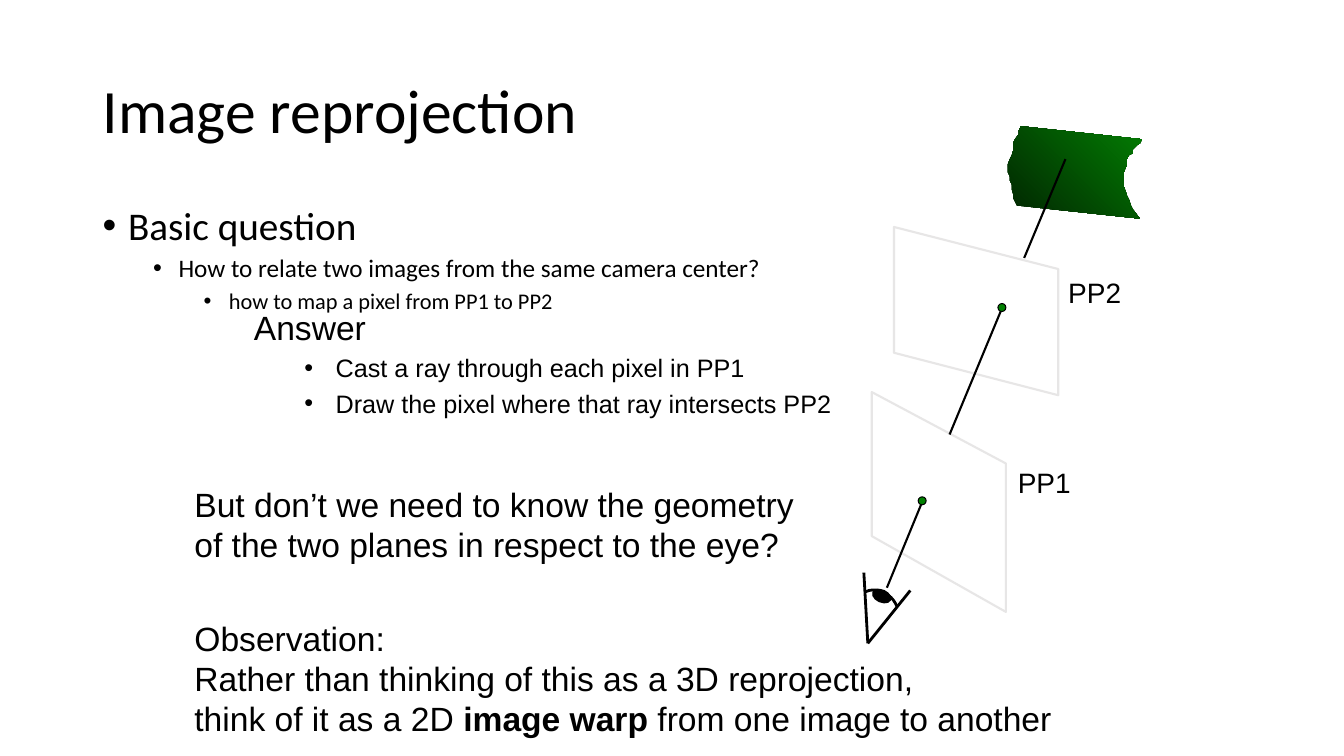
from lxml.etree import SubElement
from pptx import Presentation
from pptx.dml.color import RGBColor
from pptx.enum.shapes import MSO_CONNECTOR, MSO_SHAPE
from pptx.enum.text import MSO_ANCHOR
from pptx.oxml.ns import qn
from pptx.util import Cm, Pt

BLACK = RGBColor(0, 0, 0)
WHITE = RGBColor(0xFF, 0xFF, 0xFF)
PLANE_EDGE = RGBColor(0xE7, 0xE6, 0xE6)
PIXEL_GREEN = RGBColor(0, 0x80, 0)
SURFACE_DARK = RGBColor(0x01, 0x25, 0x01)
SURFACE_LIGHT = RGBColor(0x03, 0x7C, 0x03)

OUTLINE_UNIT = Cm(0.01)
SURFACE = [
    (2573, 318), (2568, 328), (2568, 338), (2558, 351), (2553, 361), (2553, 381),
    (2550, 391), (2545, 401), (2540, 414), (2540, 434), (2545, 445), (2545, 455),
    (2550, 465), (2550, 478), (2553, 488), (2553, 498), (2558, 508), (2563, 518),
    (2873, 551), (2855, 528), (2850, 518), (2845, 503), (2840, 493), (2837, 483),
    (2832, 470), (2832, 434), (2840, 414), (2840, 401), (2845, 391), (2855, 386),
    (2855, 376), (2865, 366), (2873, 361), (2878, 351),
]
PLANE_2 = [(2667, 678), (2253, 572), (2253, 889), (2667, 996)]
PLANE_1 = [(2197, 1351), (2535, 1542), (2535, 1168), (2197, 988)]
EYE_WEDGE = [(2187, 1621), (2179, 1496), (2192, 1488), (2212, 1486),
             (2233, 1494), (2248, 1508), (2258, 1529)]
CORNEA_CONTROLS = [(2182, 1491), (2212, 1478), (2245, 1494), (2261, 1529)]


def cubic_curve(controls, steps=12):
    points = []
    for step in range(steps + 1):
        t = step / steps
        weights = ((1 - t) ** 3, 3 * t * (1 - t) ** 2, 3 * t * t * (1 - t), t ** 3)
        points.append(tuple(sum(w * c[axis] for w, c in zip(weights, controls))
                            for axis in (0, 1)))
    return points


def style_shape(shape, fill=None, edge=None, edge_width=1.0):
    shape.shadow.inherit = False
    if fill is None:
        shape.fill.background()
    else:
        shape.fill.solid()
        shape.fill.fore_color.rgb = fill
    if edge is None:
        shape.line.fill.background()
    else:
        shape.line.color.rgb = edge
        shape.line.width = Pt(edge_width)


def add_outline(slide, points, close=True, **style):
    builder = slide.shapes.build_freeform(*points[0], scale=OUTLINE_UNIT)
    builder.add_line_segments(points[1:], close=close)
    outline = builder.convert_to_shape()
    style_shape(outline, **style)
    return outline


def add_oval(slide, left, top, width, height, rotation=0, **style):
    oval = slide.shapes.add_shape(
        MSO_SHAPE.OVAL, Cm(left), Cm(top), Cm(width), Cm(height))
    oval.rotation = rotation
    style_shape(oval, **style)


def add_line(slide, start, end, width):
    line = slide.shapes.add_connector(
        MSO_CONNECTOR.STRAIGHT, *(Cm(value) for value in (*start, *end)))
    line.line.color.rgb = BLACK
    line.line.width = Pt(width)
    SubElement(line._element.spPr, qn("a:effectLst"))


def add_bullet(paragraph, margin, hanging):
    properties = paragraph._p.get_or_add_pPr()
    properties.set("marL", str(Cm(margin)))
    properties.set("indent", str(-Cm(hanging)))
    SubElement(properties, qn("a:buFont")).set("typeface", "Arial")
    SubElement(properties, qn("a:buChar")).set("char", "•")


def add_run(paragraph, text, formats):
    run = paragraph.add_run()
    run.text = text
    run.font.color.rgb = BLACK
    for name, value in formats.items():
        setattr(run.font, name, value)


def add_text(slide, box, items, font, size, wrap=True, anchor=MSO_ANCHOR.TOP):
    frame = slide.shapes.add_textbox(*(Cm(value) for value in box)).text_frame
    frame.word_wrap = wrap
    frame.vertical_anchor = anchor
    for index, item in enumerate(items):
        paragraph = frame.paragraphs[0] if index == 0 else frame.add_paragraph()
        if "bullet" in item:
            add_bullet(paragraph, *item["bullet"])
        for name, value in item.get("layout", {}).items():
            setattr(paragraph, name, value)
        for text, bold in item["runs"]:
            add_run(paragraph, text,
                    {"name": font, "size": Pt(item.get("size", size)), "bold": bold})


def plain(*lines):
    return [{"runs": [(line, False)]} for line in lines]


def add_question(slide):
    add_text(slide, (2.34, 1.02, 29.21, 3.68),
             [{"runs": [("Image reprojection", False)], "layout": {"line_spacing": 0.9}}],
             "Calibri", 44, anchor=MSO_ANCHOR.MIDDLE)
    levels = [("Basic question", 28),
              ("How to relate two images from the same camera center?", 18),
              ("how to map a pixel from PP1 to PP2", 16)]
    items = [{"runs": [(text, False)], "size": size,
              "bullet": (0.64 + 1.27 * level, 0.64),
              "layout": {"level": level, "line_spacing": 0.9,
                         "space_before": Pt(5 if level else 0)}}
             for level, (text, size) in enumerate(levels)]
    add_text(slide, (2.34, 5.08, 29.21, 12.09), items, "Calibri", 18)


def add_scene(slide):
    surface = add_outline(slide, SURFACE)
    surface.fill.gradient()
    surface.fill.gradient_angle = 45
    for stop, color in zip(surface.fill.gradient_stops, (SURFACE_DARK, SURFACE_LIGHT)):
        stop.color.rgb = color
    for plane in (PLANE_2, PLANE_1):
        add_outline(slide, plane, fill=WHITE, edge=PLANE_EDGE, edge_width=1.5)

    add_outline(slide, EYE_WEDGE, fill=WHITE)
    add_outline(slide, cubic_curve(CORNEA_CONTROLS), close=False, edge=BLACK, edge_width=2)
    eye_corner = (21.87, 16.21)
    for lid_end in ((21.77, 14.43), (22.94, 14.88)):
        add_line(slide, eye_corner, lid_end, 2)
    add_oval(slide, 22.07, 14.78, 0.3, 0.48, rotation=294, fill=BLACK, edge=BLACK)

    for start, end in (((25.81, 6.5), (26.85, 4.01)),
                       ((23.93, 10.95), (25.25, 7.77)),
                       ((22.35, 14.81), (23.24, 12.65))):
        add_line(slide, start, end, 1.5)
    for left, top in ((25.15, 7.65), (23.14, 12.52)):
        add_oval(slide, left, top, 0.2, 0.2, fill=PIXEL_GREEN, edge=BLACK, edge_width=0.75)
    for label, left, top in (("PP2", 26.67, 6.81), ("PP1", 25.4, 11.61)):
        add_text(slide, (left, top, 1.85, 1.09), plain(label), "Arial", 20, wrap=False)


def add_answer(slide):
    steps = ("Cast a ray through each pixel in PP1",
             "Draw the pixel where that ray intersects PP2")
    items = plain("Answer") + [
        {"runs": [(step, False)], "size": 18, "bullet": (2.06, 0.79),
         "layout": {"level": 1, "space_before": Pt(3.6)}} for step in steps]
    add_text(slide, (6.15, 7.62, 17.15, 3.38), items, "Arial", 24)


def add_observation(slide):
    add_text(slide, (4.65, 12.07, 15.77, 2.31),
             plain("But don’t we need to know the geometry",
                   "of the two planes in respect to the eye?"),
             "Arial", 24, wrap=False)
    warp = {"runs": [("think of it as a 2D ", False), ("image warp", True),
                     (" from one image to another", False)]}
    add_text(slide, (4.65, 15.44, 22.33, 3.33),
             plain("Observation:",
                   "Rather than thinking of this as a 3D reprojection,") + [warp],
             "Arial", 24, wrap=False)


def main():
    deck = Presentation()
    deck.slide_width, deck.slide_height = Cm(33.87), Cm(19.05)
    slide = deck.slides.add_slide(deck.slide_layouts[6])
    add_question(slide)
    add_scene(slide)
    add_answer(slide)
    add_observation(slide)
    deck.save("out.pptx")


if __name__ == "__main__":
    main()
